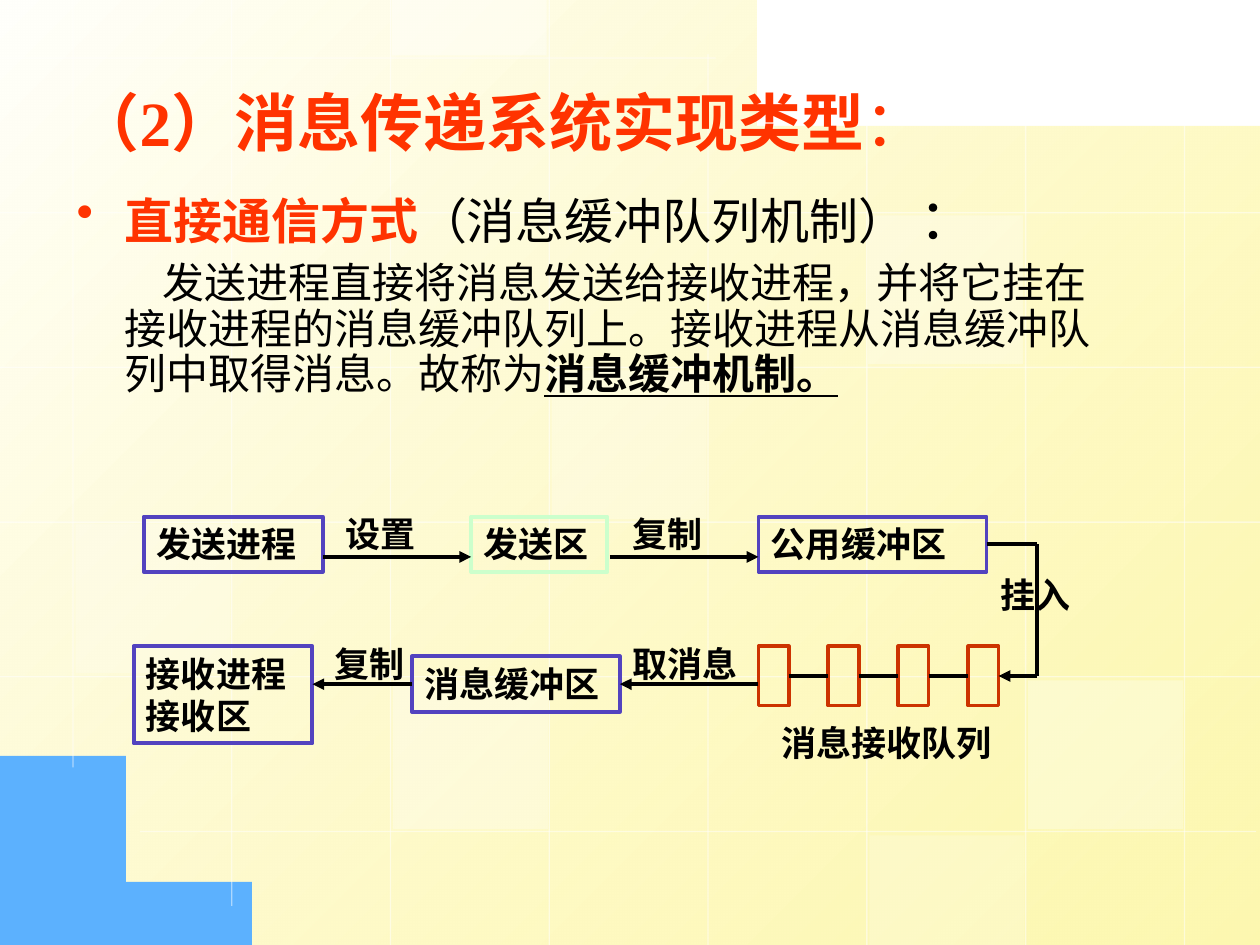
from dataclasses import dataclass
from typing import NamedTuple

from lxml import etree
from pptx import Presentation
from pptx.dml.color import RGBColor
from pptx.enum.lang import MSO_LANGUAGE_ID
from pptx.enum.shapes import MSO_CONNECTOR, MSO_SHAPE
from pptx.enum.text import MSO_ANCHOR, PP_ALIGN
from pptx.oxml.ns import qn
from pptx.util import Inches, Pt

RECT = MSO_SHAPE.RECTANGLE
LINE = MSO_CONNECTOR.STRAIGHT
TOP = MSO_ANCHOR.TOP
LEFT = PP_ALIGN.LEFT
CHINESE = MSO_LANGUAGE_ID.SIMPLIFIED_CHINESE
WEST, EAST = 1, 3


@dataclass(frozen=True)
class Theme:
    white: str = "FFFFFF"
    pale: str = "FFFFFB"
    yellow: str = "FDF58D"
    blue: str = "5CB1FE"
    black: str = "000000"
    red: str = "FF3300"
    rust: str = "CC3300"
    violet: str = "5243BF"
    mint: str = "CCFFCC"
    serif: str = "Times New Roman"
    sans: str = "Arial"
    title: int = 36
    colon: int = 32
    lead: int = 28
    body: int = 24
    label: int = 20
    thin: float = 0.75
    thick: float = 2.25


THEME = Theme()


class Tile(NamedTuple):
    x: float
    y: float
    height: float
    alpha: int


class Box(NamedTuple):
    x: float
    y: float
    width: float
    height: float
    lines: tuple[str, ...] = ()
    edge: str = THEME.violet


class Label(NamedTuple):
    text: str
    x: float
    y: float
    width: float


class Link(NamedTuple):
    start: tuple[float, float]
    end: tuple[float, float]
    arrow: bool = False
    source: str = ""
    exit: int = EAST
    target: str = ""
    entry: int = WEST


TILES = [
    Tile(4.38, 2.94, 1.18, 25),
    Tile(8.16, 5.4, 1.18, 30),
    Tile(0.6, 4.16, 1.18, 20),
    Tile(6.9, 6.63, 0.87, 20),
    Tile(3.11, 0, 0.44, 40),
    Tile(3.12, 5.4, 1.18, 30),
    Tile(6.89, 1.71, 1.18, 30),
]
SPANS = [(0, 6.09), (0, 7.19), (0, 7.5), (0, 7.5),
         (0.43, 7.5), (0.68, 7.5), (0.85, 7.5), (0.98, 7.5)]
ROWS = [(0, 5.68), (0, 10), (0, 10), (0, 10), (0, 10), (1.11, 9.97)]

CELLS = [f"cell{i}" for i in range(4)]
CELL_X, CELL_Y, CELL_W, CELL_H, STEP = 6.02, 5.13, 0.24, 0.47, 0.555
CELL_MID = CELL_Y + CELL_H / 2

BOXES = {
    "sender": Box(1.14, 4.1, 1.42, 0.44, ("发送进程",)),
    "outbox": Box(3.74, 4.1, 1.08, 0.44, ("发送区",), THEME.mint),
    "pool": Box(6.02, 4.1, 1.81, 0.44, ("公用缓冲区",)),
    "buffer": Box(3.27, 5.21, 1.65, 0.44, ("消息缓冲区",)),
    "inbox": Box(1.06, 5.13, 1.42, 0.77, ("接收进程", "接收区")),
} | {
    name: Box(CELL_X + i * STEP, CELL_Y, CELL_W, CELL_H, edge=THEME.rust)
    for i, name in enumerate(CELLS)
}
LABELS = [
    Label("设置", 2.64, 4.02, 0.94),
    Label("复制", 4.92, 4.02, 0.94),
    Label("挂入", 7.84, 4.5, 0.94),
    Label("取消息", 4.92, 5.05, 1.18),
    Label("复制", 2.56, 5.05, 0.94),
    Label("消息接收队列", 6.1, 5.68, 2.52),
]
LINKS = [
    Link((2.56, 4.42), (3.74, 4.42), True),
    Link((4.84, 4.42), (6.02, 4.42), True),
    Link((7.83, 4.32), (8.23, 4.32), source="pool"),
    Link((8.23, 4.32), (8.23, CELL_MID)),
    Link((8.23, CELL_MID), (7.92, CELL_MID), True, target=CELLS[-1], entry=EAST),
    Link((6.02, 5.43), (4.92, 5.43), True, target="buffer", entry=EAST),
    Link((3.27, 5.43), (2.48, 5.43), True, source="buffer", exit=WEST),
] + [
    Link((BOXES[a].x + CELL_W, CELL_MID), (BOXES[b].x, CELL_MID), source=a, target=b)
    for a, b in zip(CELLS, CELLS[1:])
]


def rgb(code: str) -> RGBColor:
    return RGBColor.from_string(code)


def fade(part, alpha: int) -> None:
    for color in part.iter(qn("a:srgbClr")):
        etree.SubElement(color, qn("a:alpha"), val=str(alpha * 1000))


def write(par, text: str, *, size=THEME.label, color=THEME.black,
          face=THEME.serif, bold=True, under=False) -> None:
    run = par.add_run()
    run.text = text
    font = run.font
    font.size, font.name, font.bold, font.underline = Pt(size), face, bold, under
    font.color.rgb = rgb(color)
    font.language_id = CHINESE


def space(par, before: float) -> None:
    par.line_spacing = 0.9
    par.space_before = Pt(before)


def frame(slide, x: float, y: float, width: float, height: float):
    text = slide.shapes.add_textbox(*map(Inches, (x, y, width, height))).text_frame
    text.word_wrap = True
    return text


def curve(a, b, c, d, steps: int = 40) -> list[tuple[float, float]]:
    points = []
    for i in range(1, steps + 1):
        t = i / steps
        u = 1 - t
        points.append(tuple(u**3 * p + 3 * u * u * t * q + 3 * u * t * t * r + t**3 * s
                            for p, q, r, s in zip(a, b, c, d)))
    return points


def shape_of(slide, points):
    pen = slide.shapes.build_freeform(*points[0], scale=Inches(1))
    pen.add_line_segments(points[1:], close=True)
    form = pen.convert_to_shape()
    form.shadow.inherit = False
    form.line.fill.background()
    return form


def stroke(slide, start, end, color: str, width: float):
    wire = slide.shapes.add_connector(LINE, *map(Inches, (*start, *end)))
    wire.line.color.rgb = rgb(color)
    wire.line.width = Pt(width)
    etree.SubElement(wire.element.spPr, qn("a:effectLst"))
    return wire


def draw_back(slide) -> None:
    field = [(10, 1.04), (10, 7.5), (2.3, 7.5)]
    field += curve((2.3, 7.5), (0.86, 6.61), (-0.01, 5.39), (0, 5.39))
    field += [(-0.01, -0.01), (4.21, 0.01)]
    field += curve((4.21, 0.01), (4.21, 0.01), (5.37, 0.69), (10, 1.04))
    fill = shape_of(slide, field).fill
    fill.gradient()
    fill.gradient_angle = 315
    first, last = fill.gradient_stops
    first.position, last.position = 0, 1
    first.color.rgb, last.color.rgb = rgb(THEME.pale), rgb(THEME.yellow)
    form = slide.shapes[-1].element
    etree.SubElement(list(form.iter(qn("a:srgbClr")))[-1], qn("a:alpha"), val="70000")

    corner = [(0.01, 5.59), (0.01, 7.5), (2.03, 7.5)]
    corner += curve((2.03, 7.5), (2.03, 7.5), (1.12, 7.09), (0.01, 5.59))
    fill = shape_of(slide, corner).fill
    fill.solid()
    fill.fore_color.rgb = rgb(THEME.blue)

    grid = [((0.58 + 1.26 * i, a), (0.58 + 1.26 * i, b)) for i, (a, b) in enumerate(SPANS)]
    grid += [((b, 0.46 + 1.228 * i), (a, 0.46 + 1.228 * i)) for i, (a, b) in enumerate(ROWS)]
    for start, end in grid:
        fade(stroke(slide, start, end, THEME.white, THEME.thin).element, 50)


def draw_tile(slide, tile: Tile) -> None:
    rect = slide.shapes.add_shape(RECT, *map(Inches, (tile.x, tile.y, 1.23, tile.height)))
    rect.shadow.inherit = False
    rect.line.fill.background()
    rect.fill.solid()
    rect.fill.fore_color.rgb = rgb(THEME.white)
    fade(rect.element, tile.alpha)


def draw_box(slide, box: Box):
    rect = slide.shapes.add_shape(RECT, *map(Inches, box[:4]))
    rect.shadow.inherit = False
    rect.fill.background()
    rect.line.color.rgb = rgb(box.edge)
    rect.line.width = Pt(THEME.thick)
    text = rect.text_frame
    text.vertical_anchor = TOP
    for i, line in enumerate(box.lines):
        par = text.add_paragraph() if i else text.paragraphs[0]
        par.alignment = LEFT
        write(par, line)
    return rect


def draw_link(slide, link: Link, nodes: dict) -> None:
    wire = stroke(slide, link.start, link.end, THEME.black, THEME.thick)
    if link.source:
        wire.begin_connect(nodes[link.source], link.exit)
    if link.target:
        wire.end_connect(nodes[link.target], link.entry)
    if link.arrow:
        etree.SubElement(wire.line._get_or_add_ln(), qn("a:tailEnd"), type="triangle")


def draw_text(slide) -> None:
    text = frame(slide, 0.51, 1.47, 8.5, 1.89)
    lead, body = text.paragraphs[0], text.add_paragraph()
    for par, before, indent in ((lead, 8, -0.38), (body, 6, 0.3)):
        space(par, before)
        props = par._p.get_or_add_pPr()
        props.set("marL", str(Inches(0.38)))
        props.set("indent", str(Inches(indent)))
    props = lead._p.get_or_add_pPr()
    tint = etree.SubElement(props, qn("a:buClr"))
    etree.SubElement(tint, qn("a:srgbClr"), val=THEME.red)
    etree.SubElement(props, qn("a:buChar"), char="•")
    write(lead, "直接通信方式", size=THEME.lead, color=THEME.red, face=THEME.sans)
    write(lead, "（消息缓冲队列机制）", size=THEME.lead, face=THEME.sans, bold=False)
    write(lead, " ：", size=THEME.colon, face=THEME.sans, bold=False)
    write(body, "发送进程直接将消息发送给接收进程，并将它挂在接收进程的消息缓冲队列上。"
          "接收进程从消息缓冲队列中取得消息。故称为",
          size=THEME.body, face=THEME.sans, bold=False)
    write(body, "消息缓冲机制。", size=THEME.body, face=THEME.sans, under=True)

    title = frame(slide, 0.51, 0.68, 8.58, 0.64).paragraphs[0]
    space(title, 22.5)
    write(title, "（2）消息传递系统实现类型", size=THEME.title, color=THEME.red)
    write(title, "：", size=THEME.title, color=THEME.red, bold=False)


def main() -> None:
    deck = Presentation()
    deck.slide_width, deck.slide_height = Inches(10), Inches(7.5)
    slide = deck.slides.add_slide(deck.slide_layouts[6])
    draw_back(slide)
    for tile in TILES:
        draw_tile(slide, tile)
    draw_text(slide)
    nodes = {name: draw_box(slide, box) for name, box in BOXES.items()}
    for link in LINKS:
        draw_link(slide, link, nodes)
    for label in LABELS:
        text = frame(slide, label.x, label.y, label.width, 0.44)
        write(text.paragraphs[0], label.text)
    deck.save("out.pptx")


if __name__ == "__main__":
    main()
